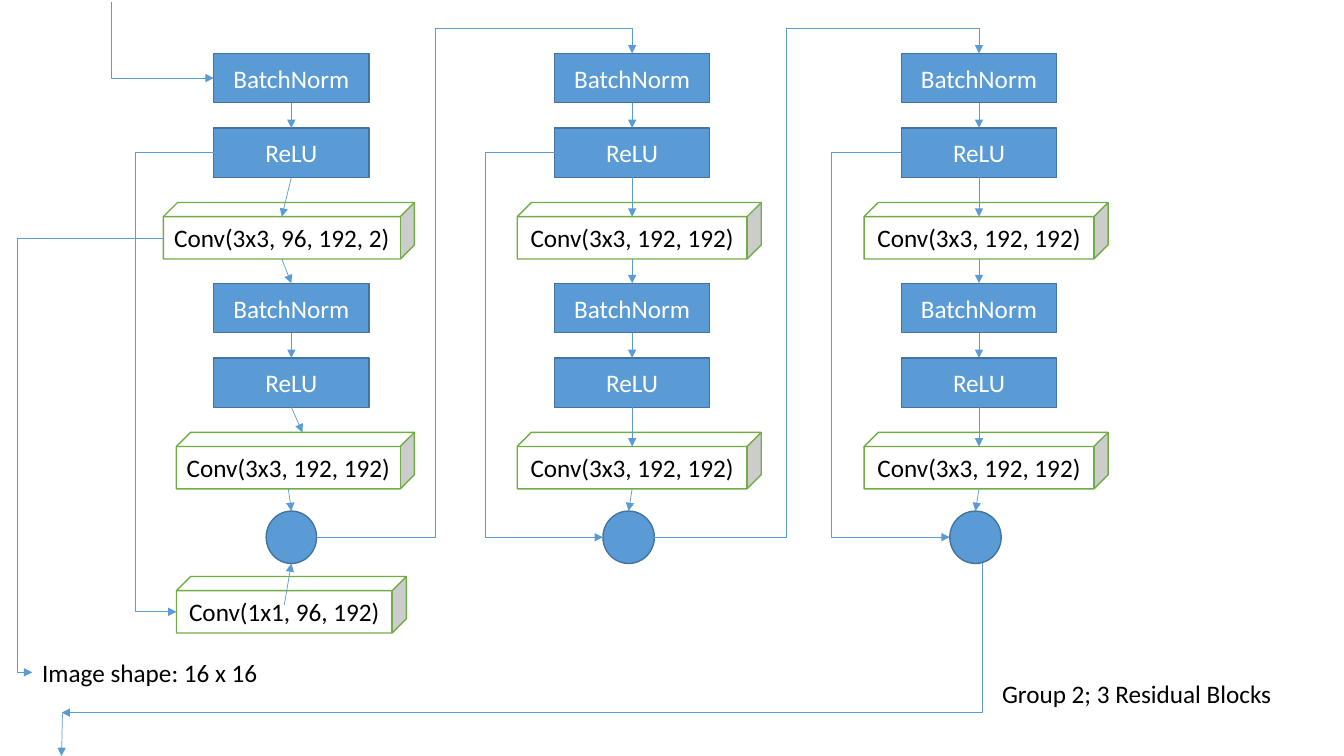
from lxml import etree
from pptx import Presentation
from pptx.dml.color import RGBColor
from pptx.enum.shapes import MSO_CONNECTOR, MSO_SHAPE
from pptx.enum.text import MSO_ANCHOR, MSO_AUTO_SIZE, PP_ALIGN
from pptx.oxml.ns import qn
from pptx.util import Inches, Pt

RECT, CUBE, OVAL = MSO_SHAPE.RECTANGLE, MSO_SHAPE.CUBE, MSO_SHAPE.OVAL
STRAIGHT, ELBOW = MSO_CONNECTOR.STRAIGHT, MSO_CONNECTOR.ELBOW
CENTER, LEFT = PP_ALIGN.CENTER, PP_ALIGN.LEFT
MIDDLE, GROW = MSO_ANCHOR.MIDDLE, MSO_AUTO_SIZE.SHAPE_TO_FIT_TEXT
TOP, BOTTOM = 0, 2

BLUE = RGBColor(0x5B, 0x9B, 0xD5)
NAVY = RGBColor(0x43, 0x73, 0x9E)
GREEN = RGBColor(0x70, 0xAD, 0x47)
WHITE = RGBColor(0xFF, 0xFF, 0xFF)
BLACK = RGBColor(0, 0, 0)
LOOKS = {RECT: (BLUE, NAVY, WHITE), CUBE: (WHITE, GREEN, BLACK),
         OVAL: (BLUE, NAVY, WHITE)}

WIDE, HIGH = 13.33, 7.5
BOX_W, BOX_H, ROW = 1.54, 0.49, 0.74
CUBE_H, DEPTH = 0.56, 0.14
TOPS = (0.53, 2.81)
OVAL_Y, OVAL_H = 5.07, 0.52
MID_Y = OVAL_Y + OVAL_H / 2
LANE_Y = 0.28

COLS = (
    {"x": 2.12, "cubes": ((1.62, 2.49, "Conv(3x3, 96, 192, 2)"),
                          (1.75, 2.36, "Conv(3x3, 192, 192)")),
     "tip": (0, DEPTH), "oval": (2.64, 0.5), "lane": 1.34},
    {"x": 5.5, "cubes": ((5.13, 2.42, "Conv(3x3, 192, 192)"),) * 2,
     "tip": (0, 0), "oval": (5.98, 0.51), "lane": 4.81},
    {"x": 8.94, "cubes": ((8.57, 2.42, "Conv(3x3, 192, 192)"),) * 2,
     "tip": (0, 0), "oval": (9.42, 0.51), "lane": 8.25},
)


def write(shape, text, color, align):
    """Put one line of text into a shape."""
    frame = shape.text_frame
    frame.word_wrap = False
    para = frame.paragraphs[0]
    para.alignment = align
    run = para.add_run()
    run.text = text
    run.font.color.rgb = color
    for key, value in {"name": "Calibri", "size": Pt(18)}.items():
        setattr(run.font, key, value)


def block(slide, kind, box, text=""):
    """Draw a filled block in its box."""
    shape = slide.shapes.add_shape(kind, *map(Inches, box))
    fill, edge, ink = LOOKS[kind]
    shape.shadow.inherit = False
    shape.fill.solid()
    shape.fill.fore_color.rgb = fill
    shape.line.color.rgb = edge
    shape.line.width = Pt(1)
    shape.text_frame.vertical_anchor = MIDDLE
    if text:
        write(shape, text, ink, CENTER)
    return shape


def label(slide, box, text):
    """Place a plain text label."""
    shape = slide.shapes.add_textbox(*map(Inches, box))
    write(shape, text, BLACK, LEFT)
    shape.text_frame.auto_size = GROW


def arrow(slide, start, end, kind=STRAIGHT):
    """Draw a thin line with an arrowhead at its end."""
    line = slide.shapes.add_connector(kind, *map(Inches, (*start, *end)))
    line.line.color.rgb = BLUE
    line.line.width = Pt(0.5)
    props = line._element.spPr
    etree.SubElement(props.find(qn("a:ln")), qn("a:tailEnd"), type="triangle")
    etree.SubElement(props, qn("a:effectLst"))
    return line


def bend(slide, start, end, x, y=None):
    """Draw an elbow arrow through lane x, and lane y if given."""
    line = arrow(slide, start, end, ELBOW)
    shares = [(x - start[0]) / (end[0] - start[0])]
    if y is not None:
        shares.append((y - start[1]) / (end[1] - start[1]))
    geom = line._element.spPr.find(qn("a:prstGeom"))
    geom.set("prst", f"bentConnector{2 + len(shares)}")
    guides = geom.find(qn("a:avLst"))
    for i, share in enumerate(shares, 1):
        etree.SubElement(guides, qn("a:gd"), name=f"adj{i}",
                         fmla=f"val {round(share * 100000)}")


def corner(slide, start, end):
    """Draw an arrow that goes down, then left."""
    mid_x, mid_y = (start[0] + end[0]) / 2, (start[1] + end[1]) / 2
    dx, dy = (start[0] - end[0]) / 2, (end[1] - start[1]) / 2
    line = arrow(slide, (mid_x - dy, mid_y - dx), (mid_x + dy, mid_y + dx), ELBOW)
    props = line._element.spPr
    props.find(qn("a:prstGeom")).set("prst", "bentConnector2")
    props.find(qn("a:xfrm")).set("rot", "5400000")


def stage(slide, x, y, cube, tip):
    """Draw BatchNorm, ReLU and Conv; return the norm box and cube foot."""
    left, width, text = cube
    cube_y = y + 2 * ROW
    face = left + (width - DEPTH) / 2
    mid = x + BOX_W / 2
    block(slide, CUBE, (left, cube_y, width, CUBE_H), text)
    norm = block(slide, RECT, (x, y, BOX_W, BOX_H), "BatchNorm")
    relu = block(slide, RECT, (x, y + ROW, BOX_W, BOX_H), "ReLU")
    foot = y + ROW + BOX_H
    down = arrow(slide, (mid, y + BOX_H), (mid, y + ROW))
    down.begin_connect(norm, BOTTOM)
    down.end_connect(relu, TOP)
    into = arrow(slide, (mid, foot), (face + tip, cube_y + DEPTH - tip))
    into.begin_connect(relu, BOTTOM)
    return norm, (face, cube_y + CUBE_H)


def column(slide, x, cubes, tip, oval, lane):
    """Draw one residual block with its sum node."""
    mid = x + BOX_W / 2
    _, foot = stage(slide, x, TOPS[0], cubes[0], tip[0])
    norm, base = stage(slide, x, TOPS[1], cubes[1], tip[1])
    arrow(slide, foot, (mid, TOPS[1])).end_connect(norm, TOP)
    left, width = oval
    node = block(slide, OVAL, (left, OVAL_Y, width, OVAL_H))
    arrow(slide, base, (left + width / 2, OVAL_Y)).end_connect(node, TOP)


def skips(slide):
    """Draw the shortcut paths and the links between blocks."""
    left, top, width = 1.75, 5.72, 2.28
    block(slide, CUBE, (left, top, width, CUBE_H), "Conv(1x1, 96, 192)")
    first = COLS[0]["oval"]
    node = (first[0] + first[1] / 2, OVAL_Y + OVAL_H)
    arrow(slide, (left + (width - DEPTH) / 2, top + CUBE_H / 2), node)
    ends = [(left, top + (CUBE_H + DEPTH) / 2)]
    ends += [(col["oval"][0], MID_Y) for col in COLS[1:]]
    for col, end in zip(COLS, ends):
        bend(slide, (col["x"], TOPS[0] + ROW + BOX_H / 2), end, col["lane"])
    for col, after, lane in zip(COLS, COLS[1:], (4.32, 7.8)):
        bend(slide, (sum(col["oval"]), MID_Y),
             (after["x"] + BOX_W / 2, TOPS[0]), lane, LANE_Y)


def edges(slide):
    """Draw the paths in and out of the group, and its labels."""
    bend(slide, (1.1, 0.02), (COLS[0]["x"], TOPS[0] + BOX_H / 2), 1.1)
    label(slide, (9.84, 6.68, 2.9, 0.4), "Group 2; 3 Residual Blocks")
    corner(slide, (9.74, OVAL_Y + OVAL_H), (0.61, 7.07))
    arrow(slide, (0.62, 7.08), (0.61, HIGH))
    label(slide, (0.32, 6.47, 2.42, 0.4), "Image shape: 16 x 16")
    bend(slide, (1.63, 2.36), (0.32, 6.67), 0.17)


def main():
    """Build and save the slide."""
    deck = Presentation()
    deck.slide_width, deck.slide_height = Inches(WIDE), Inches(HIGH)
    slide = deck.slides.add_slide(deck.slide_layouts[6])
    for col in COLS:
        column(slide, **col)
    skips(slide)
    edges(slide)
    deck.save("out.pptx")


if __name__ == "__main__":
    main()
